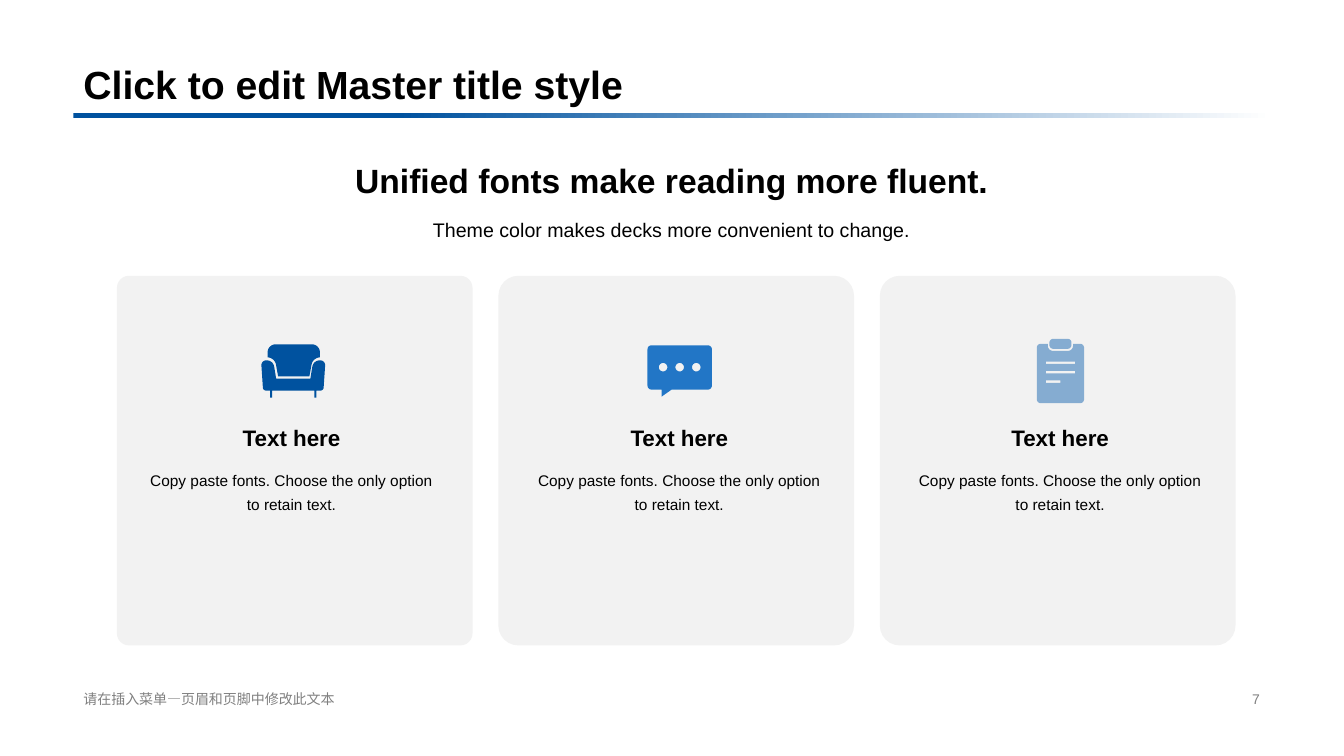
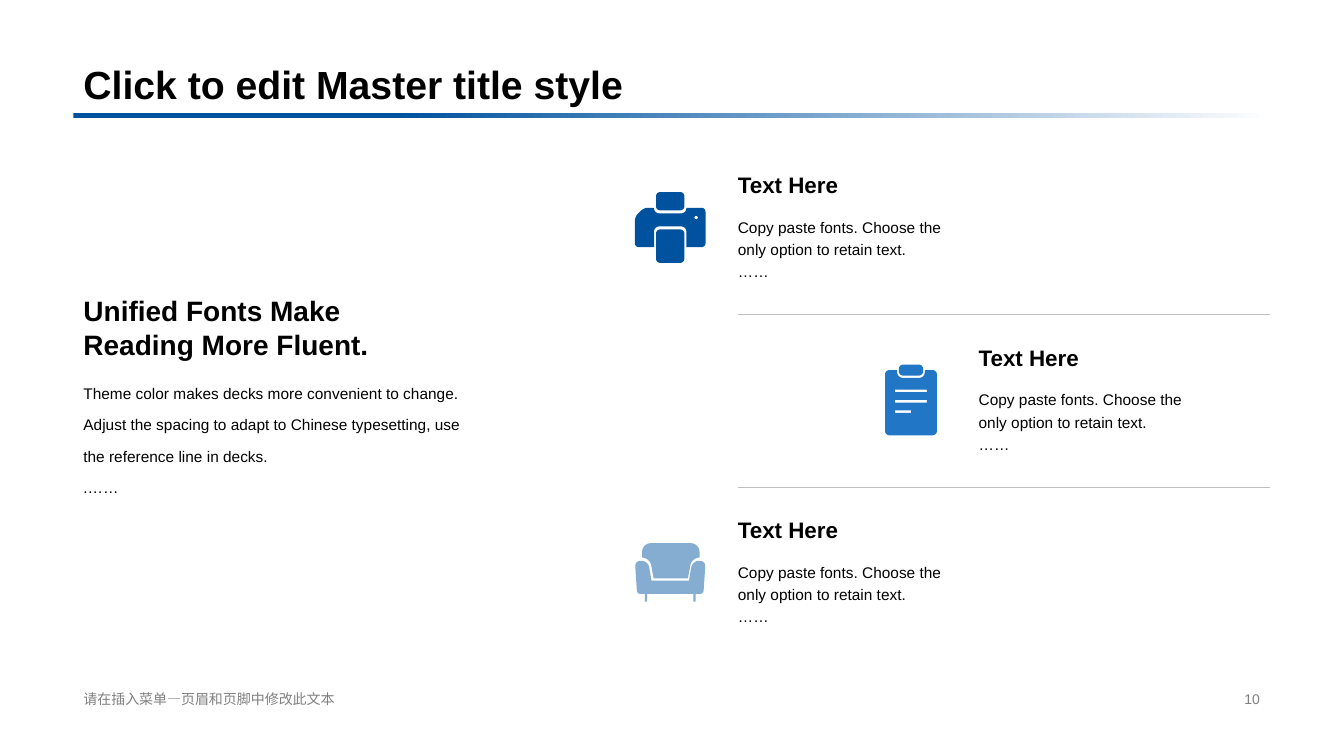
from dataclasses import dataclass
from math import hypot

from lxml.etree import SubElement
from pptx import Presentation
from pptx.dml.color import RGBColor as Rgb
from pptx.enum.shapes import MSO_CONNECTOR as Connector, MSO_SHAPE as Preset
from pptx.enum.text import MSO_ANCHOR as Anchor, PP_ALIGN as Align
from pptx.oxml.ns import qn
from pptx.util import Pt


@dataclass(frozen=True)
class Theme:
    font: str = "Arial"
    text: str = "000000"
    muted: str = "808080"
    paper: str = "FFFFFF"
    card: str = "F2F2F2"
    rule: str = "BFBFBF"
    navy: str = "00529F"
    blue: str = "2276C6"
    sky: str = "85ACD1"
    title: float = 28
    headline: float = 24
    statement: float = 20
    heading: float = 16
    lead: float = 14
    body: float = 11
    footer: float = 10


THEME = Theme()
LEFT, CONTENT_WIDTH = 52.5, 854.5
TITLE = "Click to edit Master title style"
FOOTER = "请在插入菜单—页眉和页脚中修改此文本"
CARD_BODY = "Copy paste fonts. Choose the only option to retain text."


def block(left, top, right, bottom, radius=0):
    return [(x, y, radius) for x, y in
            ((left, top), (right, top), (right, bottom), (left, bottom))]


# Each icon is a list of outlines; a corner is (x, y, rounding radius).
ARMCHAIR = [
    [(0, 16, 5), (12, 16, 6), (15, 34, 0), (49, 34, 0), (52, 16, 6), (64, 16, 5),
     (62, 46, 3), (55, 46, 0), (55, 53, 0), (53, 53, 0), (53, 46, 0), (11, 46, 0),
     (11, 53, 0), (9, 53, 0), (9, 46, 0), (2, 46, 3)],
    [(6.5, 0, 8), (58.5, 0, 8), (58.5, 13, 0), (51.5, 13, 7), (48, 32, 0),
     (17, 32, 0), (13.5, 13, 7), (6.5, 13, 0)],
]
SPEECH = [
    [(0, 0, 4), (64, 0, 4), (64, 44, 4), (24, 44, 0), (14, 51, 0), (14, 44, 0),
     (0, 44, 4)],
    *(block(x, 17.5, x + 8.5, 26, 4.25) for x in (11.25, 27.75, 44.25)),
]
CLIPBOARD = [
    [(0, 5, 4), (11, 5, 0), (11, 12, 5), (36, 12, 5), (36, 5, 0), (47, 5, 4),
     (47, 64, 4), (0, 64, 4)],
    *(block(9, y, right, y + 2.4) for y, right in ((22.6, 38), (32, 38), (41.4, 23.5))),
    block(12.5, 0, 34.5, 10, 4),
]
PRINTER = [
    [(19, 15.5, 0), (19, 21, 5), (51, 21, 5), (51, 15.5, 0), (70, 15.5, 4),
     (70, 54.5, 4), (51, 54.5, 0), (51, 34, 5), (19, 34, 5), (19, 54.5, 0),
     (0, 54.5, 4), (0, 24.5, 4), (9, 15.5, 4)],
    block(59, 23.5, 62.4, 26.9, 1.7),
    block(21, 0, 49, 18, 4),
    block(21, 37, 49, 70, 4),
]


def set_formats(target, formats):
    for name, value in formats.items():
        setattr(target, name, value)


def add_text(page, bounds, lines, size, para_formats=None, anchor=Anchor.TOP,
             bold=False, color=THEME.text):
    box = page.shapes.add_textbox(*map(Pt, bounds))
    set_formats(box.text_frame, {"word_wrap": True, "vertical_anchor": anchor})
    for index, line in enumerate(lines):
        para = box.text_frame.add_paragraph() if index else box.text_frame.paragraphs[0]
        set_formats(para, para_formats or {})
        span = para.add_run()
        span.text = line
        set_formats(span.font, {"name": THEME.font, "size": Pt(size), "bold": bold})
        span.font.color.rgb = Rgb.from_string(color)


def paint(shape, color):
    shape.shadow.inherit = False
    shape.fill.solid()
    shape.fill.fore_color.rgb = Rgb.from_string(color)
    shape.line.fill.background()


def add_card(page, bounds, rounding):
    card = page.shapes.add_shape(Preset.ROUNDED_RECTANGLE, *map(Pt, bounds))
    card.adjustments[0] = rounding
    paint(card, THEME.card)


def add_title_band(page):
    band = page.shapes.add_shape(
        Preset.RECTANGLE, *map(Pt, (LEFT, 80.75, 856, 3.75)))
    paint(band, THEME.navy)
    band.fill.gradient()
    band.fill.gradient_angle = 0
    stops = ((0.27, THEME.navy), (1, THEME.paper))
    for stop, (position, color) in zip(band.fill.gradient_stops, stops):
        stop.position = position
        stop.color.rgb = Rgb.from_string(color)


def add_divider(page, y):
    line = page.shapes.add_connector(
        Connector.STRAIGHT, *map(Pt, (527, y, 907, y)))
    line.line.width = Pt(0.25)
    line.line.color.rgb = Rgb.from_string(THEME.rule)
    SubElement(line._element.spPr, qn("a:effectLst"))


def round_corners(corners, steps=8):
    """Return the points of an outline, with circular arcs at its corners."""
    points = []
    for index, (x, y, radius) in enumerate(corners):
        if not radius:
            points.append((x, y))
            continue
        ends = []
        for other in (corners[index - 1], corners[(index + 1) % len(corners)]):
            dx, dy = other[0] - x, other[1] - y
            share = radius / hypot(dx, dy)
            ends.append((x + dx * share, y + dy * share))
        for step in range(steps + 1):
            t = step / steps
            weights = (1 - t) ** 2, 1.41 * t * (1 - t), t ** 2
            trio = ends[0], (x, y), ends[1]
            points.append(tuple(
                sum(w * p[axis] for w, p in zip(weights, trio)) / sum(weights)
                for axis in (0, 1)))
    return points


def add_icon(page, icon, center_x, center_y, size, color):
    """Draw an icon around its centre; size is its longer side."""
    width, height = (max(corner[axis] for outline in icon for corner in outline)
                     for axis in (0, 1))
    scale = size / max(width, height)
    builder = None
    for outline in icon:
        start, *rest = [
            (Pt(center_x + (x - width / 2) * scale),
             Pt(center_y + (y - height / 2) * scale))
            for x, y in round_corners(outline)]
        if builder:
            builder.move_to(*start)
        else:
            builder = page.shapes.build_freeform(*start)
        builder.add_line_segments(rest, close=True)
    paint(builder.convert_to_shape(), color)


def add_page(deck, number):
    """Add a slide with the shared title, band and footer."""
    page = deck.slides.add_slide(deck.slide_layouts[6])
    add_title_band(page)
    add_text(page, (LEFT, 0, CONTENT_WIDTH, 80.75), [TITLE], THEME.title,
             {"line_spacing": 0.9}, Anchor.BOTTOM, True)
    add_text(page, (LEFT, 491, 326, 16.5), [FOOTER], THEME.footer,
             anchor=Anchor.MIDDLE, color=THEME.muted)
    add_text(page, (678, 491, 229, 16.5), [str(number)], THEME.footer,
             {"alignment": Align.RIGHT}, Anchor.MIDDLE, color=THEME.muted)
    return page


def build_cards_page(deck):
    page = add_page(deck, 7)
    centered = {"alignment": Align.CENTER}
    spaced = {"alignment": Align.CENTER, "line_spacing": 1.3}
    add_text(page, (LEFT, 101.5, CONTENT_WIDTH, 45),
             ["Unified fonts make reading more fluent."], THEME.headline,
             centered, Anchor.BOTTOM, True)
    add_text(page, (LEFT, 147, CONTENT_WIDTH, 29.5),
             ["Theme color makes decks more convenient to change."], THEME.lead,
             spaced, Anchor.MIDDLE)
    cards = (
        (ARMCHAIR, THEME.navy, 0.034, 99.5, 209.5),
        (SPEECH, THEME.blue, 0.056, 376.5, 485.5),
        (CLIPBOARD, THEME.sky, 0.056, 648.5, 757.5),
    )
    for index, (icon, color, rounding, text_left, icon_x) in enumerate(cards):
        add_card(page, (83.5 + 272.5 * index, 197, 254, 264), rounding)
        add_icon(page, icon, icon_x, 265, 46, color)
        add_text(page, (text_left, 296, 217.5, 33), ["Text here"], THEME.heading,
                 centered, Anchor.MIDDLE, True)
        add_text(page, (text_left, 329, 217.5, 50.5), [CARD_BODY], THEME.body, spaced)


def build_list_page(deck):
    page = add_page(deck, 10)
    add_text(page, (LEFT, 204, 284.5, 57.5),
             ["Unified Fonts Make", "Reading More Fluent."], THEME.statement,
             anchor=Anchor.BOTTOM, bold=True)
    add_text(page, (LEFT, 261.5, 284.5, 118),
             ["Theme color makes decks more convenient to change. Adjust the spacing to "
              "adapt to Chinese typesetting, use the reference line in decks.", ".……"],
             THEME.body, {"line_spacing": 1.7})
    items = ((PRINTER, THEME.navy, 520), (CLIPBOARD, THEME.blue, 692),
             (ARMCHAIR, THEME.sky, 520))
    for index, (icon, color, left) in enumerate(items):
        top = 114.5 + 123.2 * index
        add_icon(page, icon, left - 41.25, top + 48, 50.5, color)
        add_text(page, (left, top, 165.5, 35), ["Text Here"], THEME.heading,
                 anchor=Anchor.MIDDLE, bold=True)
        add_text(page, (left, top + 35, 165.5, 62), [CARD_BODY, "……"],
                 THEME.body, {"line_spacing": 1.2})
        if index < len(items) - 1:
            add_divider(page, top + 110)


def main():
    deck = Presentation()
    set_formats(deck, {"slide_width": Pt(960), "slide_height": Pt(540)})
    build_cards_page(deck)
    build_list_page(deck)
    deck.save("out.pptx")


if __name__ == "__main__":
    main()
